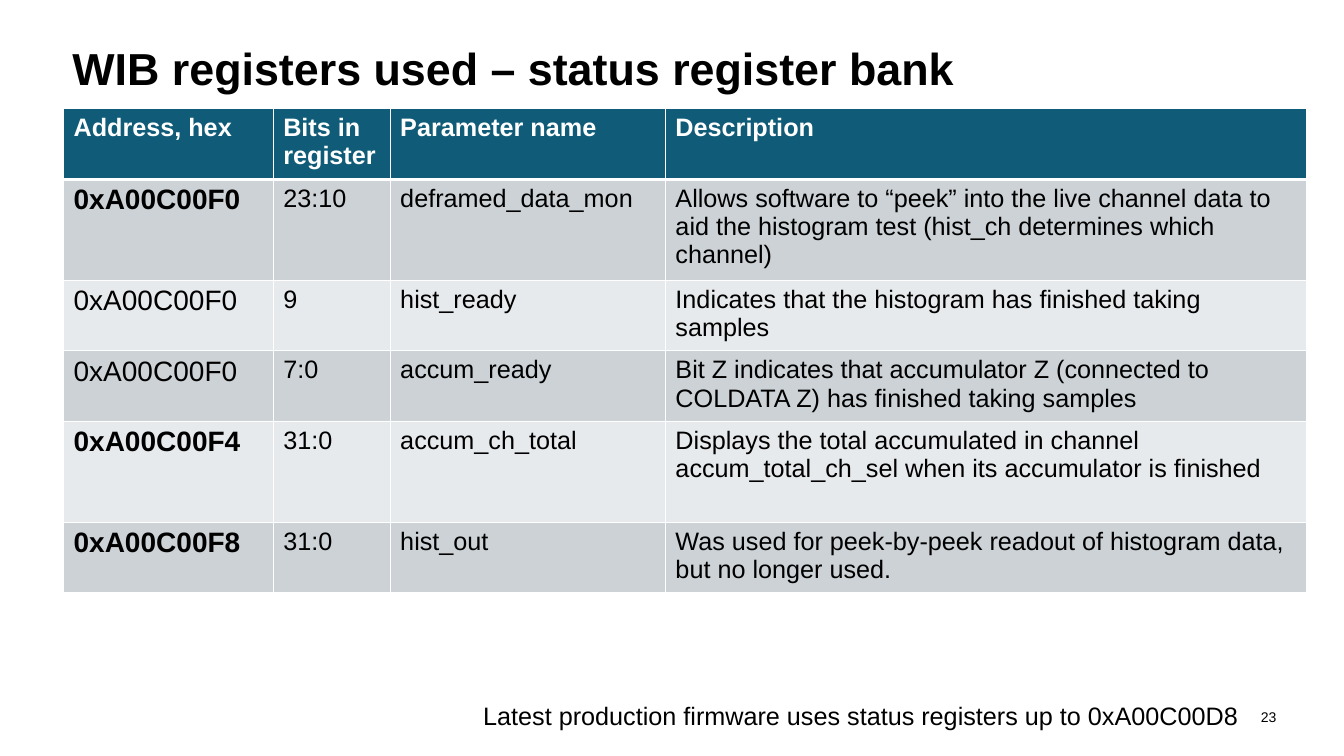
from dataclasses import dataclass

import pptx
import pptx.dml.color
import pptx.enum.text
import pptx.oxml
import pptx.oxml.ns
import pptx.util
from pptx.dml.color import RGBColor
from pptx.enum.text import MSO_ANCHOR, PP_ALIGN
from pptx.util import Inches, Pt

BLACK = RGBColor(0x00, 0x00, 0x00)
WHITE = RGBColor(0xFF, 0xFF, 0xFF)
HEADER_TEAL = RGBColor(0x10, 0x5C, 0x78)
BAND_DARK = RGBColor(0xCC, 0xD2, 0xD6)
BAND_LIGHT = RGBColor(0xE7, 0xEA, 0xEC)

FONT = "Arial"
LINE_HEIGHTS = {2: 0.7, 3: 1.0}
COLUMN_WIDTHS = (2.08, 1.16, 2.73, 6.36)
HEADINGS = ("Address, hex", "Bits in register", "Parameter name", "Description")


@dataclass
class Register:
    address: str
    bits: str
    parameter: str
    description: str
    lines: int = 2
    bold_address: bool = False


@dataclass
class Label:
    text: str
    left: float
    top: float
    width: float
    height: float
    size: float
    bold: bool = False
    align: PP_ALIGN = PP_ALIGN.LEFT
    anchor: MSO_ANCHOR = MSO_ANCHOR.MIDDLE
    margins: tuple[float, float, float, float] = (0.1, 0.05, 0.1, 0.05)
    line_spacing: float = 1.0


REGISTERS = (
    Register("0xA00C00F0", "23:10", "deframed_data_mon",
             "Allows software to “peek” into the live channel data to aid the "
             "histogram test (hist_ch determines which channel)",
             lines=3, bold_address=True),
    Register("0xA00C00F0", "9", "hist_ready",
             "Indicates that the histogram has finished taking samples"),
    Register("0xA00C00F0", "7:0", "accum_ready",
             "Bit Z indicates that accumulator Z (connected to COLDATA Z) has "
             "finished taking samples"),
    Register("0xA00C00F4", "31:0", "accum_ch_total",
             "Displays the total accumulated in channel accum_total_ch_sel "
             "when its accumulator is finished",
             lines=3, bold_address=True),
    Register("0xA00C00F8", "31:0", "hist_out",
             "Was used for peek-by-peek readout of histogram data, but no "
             "longer used.", bold_address=True),
)

LABELS = (
    Label("23", 12.24, 6.91, 0.47, 0.4, 10, align=PP_ALIGN.RIGHT,
          margins=(0, 0, 0.05, 0)),
    Label("WIB registers used – status register bank", 0.62, 0.4, 12.08, 0.61,
          32, bold=True, line_spacing=0.9),
    Label("Latest production firmware uses status registers up to 0xA00C00D8",
          4.14, 6.9, 8.24, 0.4, 18, align=PP_ALIGN.RIGHT, anchor=MSO_ANCHOR.TOP),
)


def set_font(paragraph, size: float, color: RGBColor, bold: bool) -> None:
    font = paragraph.font
    font.name, font.size, font.bold = FONT, Pt(size), bold
    font.color.rgb = color


def add_label(slide, label: Label) -> None:
    box = slide.shapes.add_textbox(Inches(label.left), Inches(label.top),
                                   Inches(label.width), Inches(label.height))
    frame = box.text_frame
    frame.word_wrap = True
    frame.vertical_anchor = label.anchor
    (frame.margin_left, frame.margin_top,
     frame.margin_right, frame.margin_bottom) = map(Inches, label.margins)
    paragraph = frame.paragraphs[0]
    paragraph.text = label.text
    paragraph.alignment = label.align
    paragraph.line_spacing = label.line_spacing
    set_font(paragraph, label.size, BLACK, label.bold)


def add_borders(cell, bottom: float, top: float) -> None:
    """Draw white cell borders; widths of the horizontal ones in points."""
    properties = cell._tc.get_or_add_tcPr()
    for side, width in (("L", 1), ("R", 1), ("T", top), ("B", bottom)):
        properties.append(pptx.oxml.parse_xml(
            f'<a:ln{side} {pptx.oxml.ns.nsdecls("a")} w="{Pt(width)}">'
            f'<a:solidFill><a:srgbClr val="{WHITE}"/></a:solidFill></a:ln{side}>'))


def fill_cell(cell, text: str, fill: RGBColor, color: RGBColor, size: float = 18,
              bold: bool = False, top: float = 1, bottom: float = 1) -> None:
    add_borders(cell, bottom, top)
    cell.fill.solid()
    cell.fill.fore_color.rgb = fill
    cell.text = text
    set_font(cell.text_frame.paragraphs[0], size, color, bold)


def add_register_table(slide) -> None:
    heights = [LINE_HEIGHTS[lines] for lines in (2, *(r.lines for r in REGISTERS))]
    table = slide.shapes.add_table(
        len(heights), len(HEADINGS), Inches(0.63), Inches(1.08),
        Inches(sum(COLUMN_WIDTHS)), Inches(sum(heights))).table
    for column, width in zip(table.columns, COLUMN_WIDTHS):
        column.width = Inches(width)
    for row, height in zip(table.rows, heights):
        row.height = Inches(height)

    for column, heading in enumerate(HEADINGS):
        fill_cell(table.cell(0, column), heading, HEADER_TEAL, WHITE,
                  bold=True, bottom=3)
    for row, register in enumerate(REGISTERS, start=1):
        band = BAND_DARK if row % 2 else BAND_LIGHT
        top = 3 if row == 1 else 1
        fill_cell(table.cell(row, 0), register.address, band, BLACK, size=20,
                  bold=register.bold_address, top=top)
        details = (register.bits, register.parameter, register.description)
        for column, text in enumerate(details, start=1):
            fill_cell(table.cell(row, column), text, band, BLACK, top=top)


def main() -> None:
    deck = pptx.Presentation()
    deck.slide_width, deck.slide_height = Inches(13.33), Inches(7.5)
    slide = deck.slides.add_slide(deck.slide_layouts[6])
    for label in LABELS:
        add_label(slide, label)
    add_register_table(slide)
    deck.save("out.pptx")


if __name__ == "__main__":
    main()
